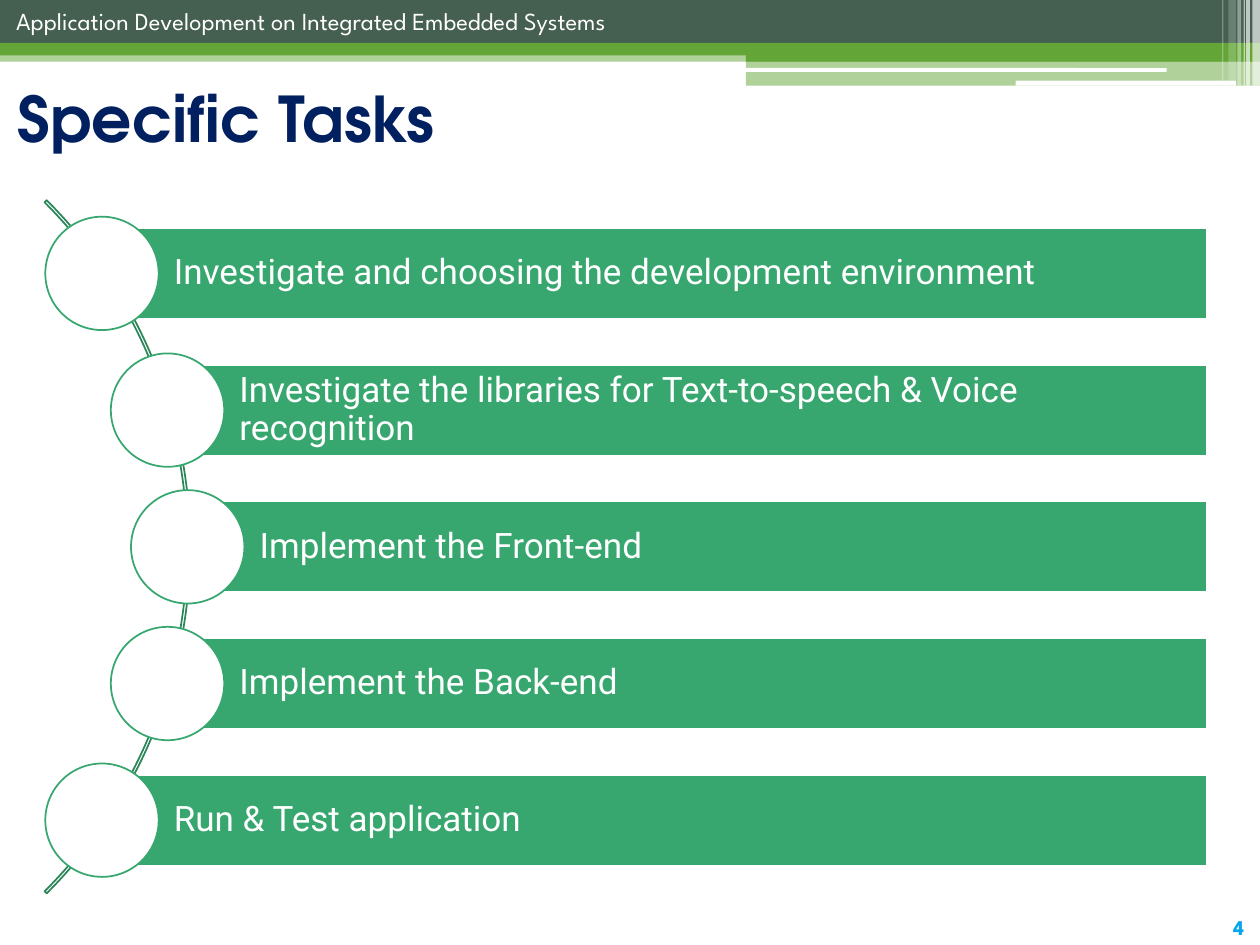
import dataclasses

import pptx
import pptx.dml.color
import pptx.enum.shapes
import pptx.enum.text
import pptx.oxml.ns
import pptx.util
from lxml import etree

Inches = pptx.util.Inches
SHAPES = pptx.enum.shapes.MSO_SHAPE
ALIGN = pptx.enum.text.PP_ALIGN
ANCHOR = pptx.enum.text.MSO_ANCHOR

COLORS = {
    "white": "FFFFFF", "slate": "455F51", "lime": "63A537", "green": "37A76F",
    "arc": "2C8659", "navy": "002060", "number": "08A5EF",
}
BAR_RIGHT, BAR_HEIGHT = 9.58, 0.72
CIRCLE_SIZE = 0.9
FIRST_CENTER, ROW_PITCH = 2.17, 1.085
ARC_SIZE = 7.78


@dataclasses.dataclass
class Band:
    """One decorative piece of the header; opacity is in percent."""
    left: float
    top: float
    width: float
    height: float
    color: str
    opacity: int = 100
    rounded: bool = False


@dataclasses.dataclass
class Task:
    """One task row and the left edge of its bar."""
    text: str
    left: float


BANDS = [
    Band(0, 0.4, 10, 0.09, "lime", 50),
    Band(0, 0, 10, 0.34, "slate"),
    Band(0, 0.34, 10, 0.1, "lime"),
    Band(5.92, 0.39, 4.08, 0.1, "lime"),
    Band(5.92, 0.48, 4.08, 0.2, "lime", 50),
    Band(5.91, 0.54, 3.35, 0.03, "white", rounded=True),
    Band(8.06, 0.64, 1.75, 0.04, "white", rounded=True),
    Band(9.94, 0, 0.06, 0.68, "white", 65),
    Band(9.89, 0, 0.03, 0.68, "white", 65),
    Band(9.87, 0, 0.01, 0.68, "white", 60),
    Band(9.82, 0, 0.03, 0.68, "white", 40),
    Band(9.75, 0, 0.06, 0.64, "white", 20),
    Band(9.7, 0, 0.01, 0.64, "white", 30),
]
TASKS = [
    Task("Investigate and choosing the development environment", 0.81),
    Task("Investigate the libraries for Text-to-speech & Voice recognition", 1.33),
    Task("Implement the Front-end", 1.49),
    Task("Implement the Back-end", 1.33),
    Task("Run & Test application", 0.81),
]


def rgb(name: str) -> pptx.dml.color.RGBColor:
    """Return a named colour."""
    return pptx.dml.color.RGBColor.from_string(COLORS[name])


def add_shape(slide, kind, left: float, top: float, width: float, height: float,
              fill: str | None = None, line: str | None = None):
    """Add a preset shape without shadow."""
    shape = slide.shapes.add_shape(
        kind, Inches(left), Inches(top), Inches(width), Inches(height))
    shape.shadow.inherit = False
    if fill:
        shape.fill.solid()
        shape.fill.fore_color.rgb = rgb(fill)
    else:
        shape.fill.background()
    if line:
        shape.line.color.rgb = rgb(line)
        shape.line.width = pptx.util.Pt(1)
    else:
        shape.line.fill.background()
    return shape


def write(shape, text: str, font: str, size: int, color: str,
          align=ALIGN.LEFT, bold: bool = False):
    """Fill a shape with one formatted paragraph and return it."""
    shape.text_frame.text = text
    paragraph = shape.text_frame.paragraphs[0]
    paragraph.alignment = align
    paragraph.font.name = font
    paragraph.font.size = pptx.util.Pt(size)
    paragraph.font.bold = bold
    paragraph.font.color.rgb = rgb(color)
    return paragraph


def add_band(slide, band: Band) -> None:
    """Draw one header piece."""
    kind = SHAPES.ROUNDED_RECTANGLE if band.rounded else SHAPES.RECTANGLE
    shape = add_shape(slide, kind, band.left, band.top, band.width, band.height, band.color)
    if band.opacity < 100:
        color = shape.fill._xPr.find(".//" + pptx.oxml.ns.qn("a:srgbClr"))
        alpha = etree.SubElement(color, pptx.oxml.ns.qn("a:alpha"))
        alpha.set("val", str(band.opacity * 1000))


def add_label(slide, left: float, top: float, width: float, height: float,
              text: str, size: int, color: str, **style) -> None:
    """Add a one-line label in the header typeface."""
    box = slide.shapes.add_textbox(
        Inches(left), Inches(top), Inches(width), Inches(height))
    box.text_frame.word_wrap = False
    write(box, text, "League Spartan", size, color, **style)


def add_title(slide, text: str) -> None:
    """Place and format the title placeholder."""
    title = slide.shapes.title
    title.left, title.top = Inches(0.04), Inches(0.52)
    title.width, title.height = Inches(9.85), Inches(0.82)
    title.text_frame.auto_size = pptx.enum.text.MSO_AUTO_SIZE.NONE
    title.text_frame.vertical_anchor = ANCHOR.MIDDLE
    write(title, text, "TeX Gyre Adventor", 36, "navy", bold=True)


def add_arc(slide) -> None:
    """Draw the thin arc that links the circles."""
    middle = FIRST_CENTER + ROW_PITCH * (len(TASKS) - 1) / 2
    arc = add_shape(slide, SHAPES.BLOCK_ARC, -6.27, middle - ARC_SIZE / 2,
                    ARC_SIZE, ARC_SIZE, line="arc")
    for index, value in enumerate((189, 27, 0.003)):
        arc.adjustments[index] = value


def add_task(slide, task: Task, row: int) -> None:
    """Draw a task bar and the circle centred on its left edge."""
    center = FIRST_CENTER + row * ROW_PITCH
    bar = add_shape(slide, SHAPES.RECTANGLE, task.left, center - BAR_HEIGHT / 2,
                    BAR_RIGHT - task.left, BAR_HEIGHT, "green", "white")
    frame = bar.text_frame
    frame.word_wrap = True
    frame.vertical_anchor = ANCHOR.MIDDLE
    frame.margin_left = Inches(0.57)
    frame.margin_right = frame.margin_top = frame.margin_bottom = Inches(0.06)
    write(bar, task.text, "Roboto", 20, "white").line_spacing = 0.9
    add_shape(slide, SHAPES.OVAL, task.left - CIRCLE_SIZE / 2, center - CIRCLE_SIZE / 2,
              CIRCLE_SIZE, CIRCLE_SIZE, "white", "green")


def main() -> None:
    """Build and save the slide."""
    presentation = pptx.Presentation()
    presentation.slide_width, presentation.slide_height = Inches(10), Inches(7.5)
    slide = presentation.slides.add_slide(presentation.slide_layouts[5])
    for band in BANDS:
        add_band(slide, band)
    add_label(slide, 0.03, 0, 5.96, 0.34,
              "Application Development on Integrated Embedded Systems", 14, "white")
    add_label(slide, 9.64, 7.21, 0.38, 0.3, "4", 12, "number",
              align=ALIGN.CENTER, bold=True)
    add_title(slide, "Specific Tasks")
    add_arc(slide)
    for row, task in enumerate(TASKS):
        add_task(slide, task, row)
    presentation.save("out.pptx")


main()
